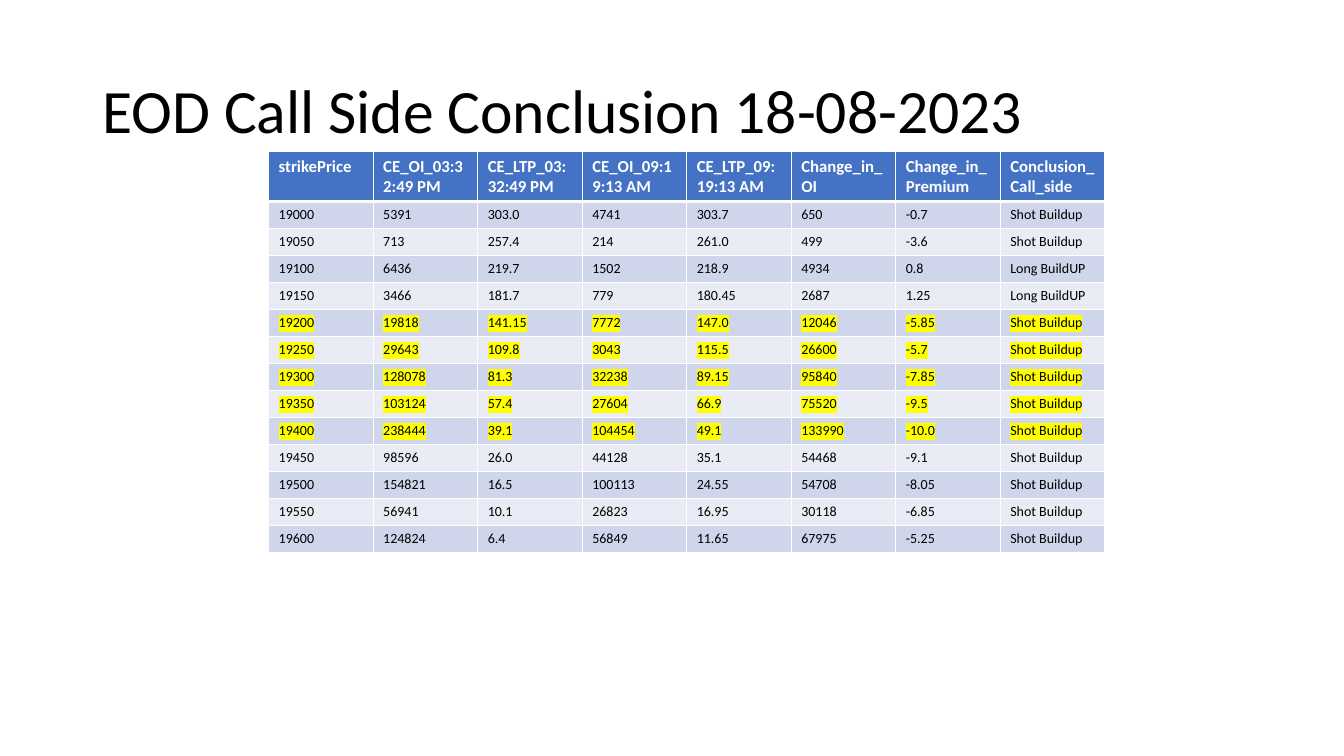
import pptx
import pptx.util
import pptx.dml.color
import pptx.enum.text
import pptx.oxml.ns
import lxml.etree

Cm = pptx.util.Cm
Pt = pptx.util.Pt

TITLE = "EOD Call Side Conclusion 18-08-2023"
HEADS = ("strikePrice", "CE_OI_03:32:49 PM", "CE_LTP_03:32:49 PM",
         "CE_OI_09:19:13 AM", "CE_LTP_09:19:13 AM", "Change_in_OI",
         "Change_in_Premium", "Conclusion_Call_side")
SHOT, LONG = "Shot Buildup", "Long BuildUP"
ROWS = [
    ("19000", "5391", "303.0", "4741", "303.7", "650", "-0.7", SHOT),
    ("19050", "713", "257.4", "214", "261.0", "499", "-3.6", SHOT),
    ("19100", "6436", "219.7", "1502", "218.9", "4934", "0.8", LONG),
    ("19150", "3466", "181.7", "779", "180.45", "2687", "1.25", LONG),
    ("19200", "19818", "141.15", "7772", "147.0", "12046", "-5.85", SHOT),
    ("19250", "29643", "109.8", "3043", "115.5", "26600", "-5.7", SHOT),
    ("19300", "128078", "81.3", "32238", "89.15", "95840", "-7.85", SHOT),
    ("19350", "103124", "57.4", "27604", "66.9", "75520", "-9.5", SHOT),
    ("19400", "238444", "39.1", "104454", "49.1", "133990", "-10.0", SHOT),
    ("19450", "98596", "26.0", "44128", "35.1", "54468", "-9.1", SHOT),
    ("19500", "154821", "16.5", "100113", "24.55", "54708", "-8.05", SHOT),
    ("19550", "56941", "10.1", "26823", "16.95", "30118", "-6.85", SHOT),
    ("19600", "124824", "6.4", "56849", "11.65", "67975", "-5.25", SHOT),
]
MARKED = {"19200", "19250", "19300", "19350", "19400"}
FONT = "Calibri"
COLORS = {"text": "000000", "white": "FFFFFF", "head": "4472C4",
          "odd": "CFD5EA", "even": "E9EBF5", "mark": "FFFF00"}
WIDTH, HEAD_H, ROW_H = 21.08, 1.26, 0.68


def rgb(name):
    return pptx.dml.color.RGBColor.from_string(COLORS[name])


def add_node(parent, tag, **attrs):
    return lxml.etree.SubElement(parent, pptx.oxml.ns.qn(tag), attrs)


def style(run, size, color, bold=False, mark=False):
    font = run.font
    font.size, font.bold = Pt(size), bold
    font.color.rgb = rgb(color)
    if mark:
        light = add_node(run._r.get_or_add_rPr(), "a:highlight")
        add_node(light, "a:srgbClr", val=COLORS["mark"])
    font.name = FONT


def add_edges(cell, top, bottom):
    """Draw white cell borders; top and bottom are widths in points."""
    props = cell._tc.get_or_add_tcPr()
    for side, width in (("L", 1), ("R", 1), ("T", top), ("B", bottom)):
        line = add_node(props, "a:ln" + side, w=str(Pt(width)))
        fill = add_node(line, "a:solidFill")
        add_node(fill, "a:srgbClr", val=COLORS["white"])


def add_title(slide):
    box = slide.shapes.add_textbox(Cm(2.33), Cm(1.01), Cm(29.21), Cm(3.68))
    frame = box.text_frame
    frame.word_wrap = True
    frame.vertical_anchor = pptx.enum.text.MSO_ANCHOR.MIDDLE
    frame.text = TITLE
    para = frame.paragraphs[0]
    para.line_spacing = 0.9
    style(para.runs[0], 44, "text")


def add_prices(slide):
    lines = [HEADS] + ROWS
    height = HEAD_H + ROW_H * len(ROWS)
    table = slide.shapes.add_table(len(lines), len(HEADS), Cm(6.77), Cm(3.81),
                                   Cm(WIDTH), Cm(height)).table
    for col in table.columns:
        col.width = Cm(WIDTH / len(HEADS))
    for r, line in enumerate(lines):
        head = r == 0
        table.rows[r].height = Cm(HEAD_H if head else ROW_H)
        shade = "head" if head else "odd" if r % 2 else "even"
        for c, text in enumerate(line):
            cell = table.cell(r, c)
            cell.text_frame.text = text
            run = cell.text_frame.paragraphs[0].runs[0]
            if head:
                style(run, 12, "white", bold=True)
            else:
                style(run, 10, "text", mark=line[0] in MARKED)
            add_edges(cell, 3 if r == 1 else 1, 3 if head else 1)
            cell.fill.solid()
            cell.fill.fore_color.rgb = rgb(shade)


def main():
    deck = pptx.Presentation()
    deck.slide_width, deck.slide_height = Cm(33.87), Cm(19.05)
    slide = deck.slides.add_slide(deck.slide_layouts[6])
    add_title(slide)
    add_prices(slide)
    deck.save("out.pptx")


if __name__ == "__main__":
    main()
